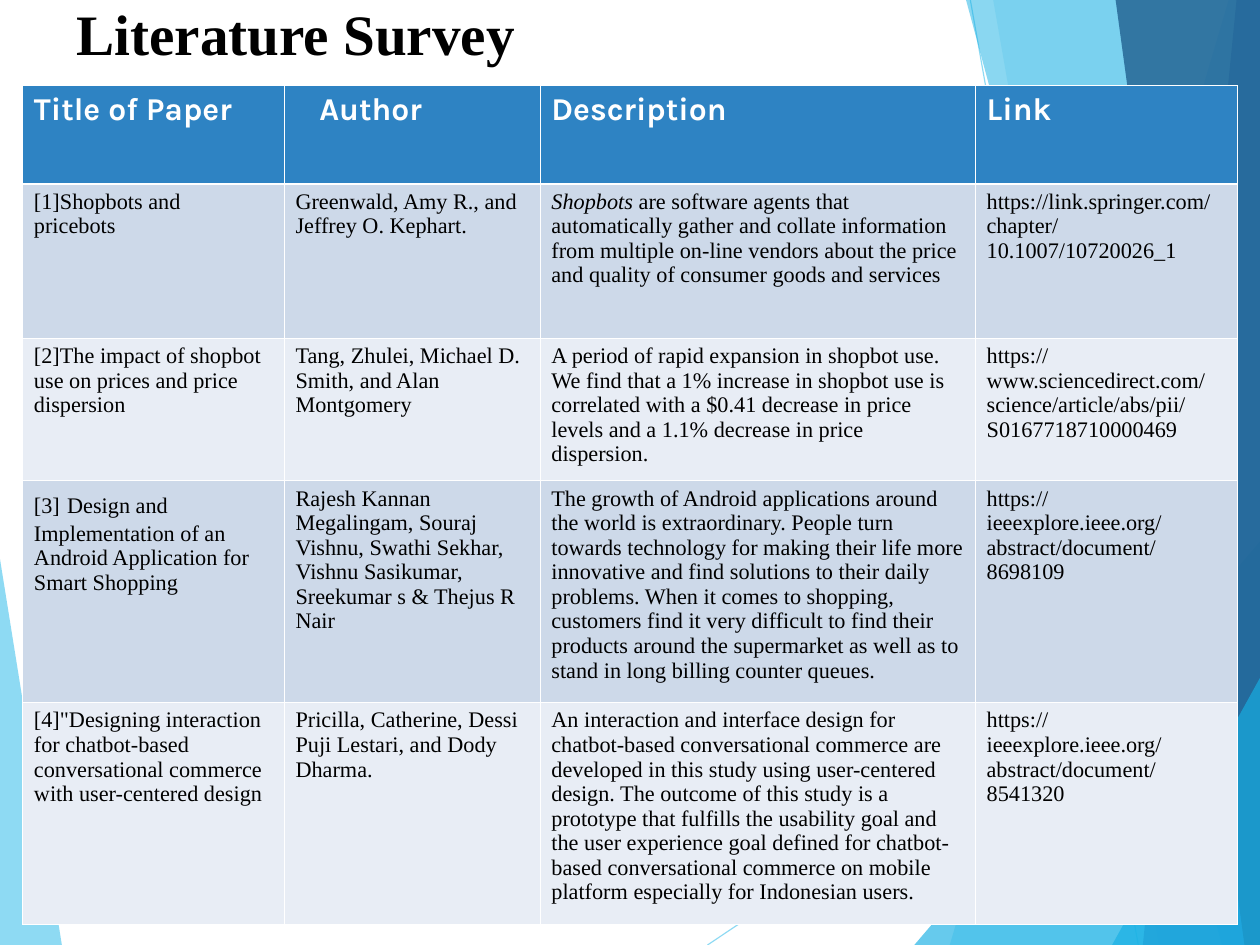
from typing import Any, NamedTuple

from lxml.etree import SubElement
from pptx import Presentation
from pptx.dml.color import RGBColor
from pptx.enum.shapes import MSO_CONNECTOR
from pptx.enum.text import MSO_ANCHOR
from pptx.oxml.ns import qn
from pptx.util import Pt

WIDE, HIGH = 793.75, 595.25
COLORS = {
    "white": "FFFFFF", "black": "000000", "sky": "5FCBEF", "cyan": "17B0E4",
    "blue": "2E83C3", "navy": "236292", "odd": "CDD9E9", "even": "E8EDF5",
}
HEAD = {"name": "Karla", "size": Pt(20), "bold": True}
BODY = {"name": "Times New Roman", "size": Pt(14), "bold": False}
TITLE = {"name": "Times New Roman", "size": Pt(36), "bold": True}
INSET = {"margin_left": Pt(7.2), "margin_top": Pt(3.6),
         "margin_right": Pt(6.8), "margin_bottom": Pt(1.7)}


class Facet(NamedTuple):
    """A flat translucent polygon of the backdrop."""
    color: str
    alpha: int
    points: list[tuple[float, float]]


class Line(NamedTuple):
    """A thin slanted line of the backdrop."""
    start: tuple[float, float]
    end: tuple[float, float]


class Part(NamedTuple):
    """A stretch of text with its own format."""
    text: str
    format: dict[str, Any]


class Paper(NamedTuple):
    """One row of the survey."""
    title: list[Part]
    author: list[Part]
    detail: list[Part]
    link: list[Part]


def plain(text: str) -> list[Part]:
    """Wrap body text as a single part."""
    return [Part(text, BODY)]


LEFT = Facet("sky", 70, [(0, 352), (39, HIGH), (0, HIGH)])
LINES = [Line((445.7, HIGH), (WIDE, 362.5)), Line((611.3, 0), (717.1, HIGH))]
RIGHT = [
    Facet("sky", 36, [(774, 0), (598.3, HIGH), (WIDE, HIGH), (WIDE, 0)]),
    Facet("sky", 20, [(625.7, 0), (730.1, HIGH), (WIDE, HIGH), (WIDE, 0)]),
    Facet("cyan", 66, [(576, HIGH), (WIDE, 341), (WIDE, HIGH)]),
    Facet("cyan", 50, [(608.6, 0), (769.7, HIGH), (WIDE, HIGH), (WIDE, 0)]),
    Facet("blue", 70, [(779, 0), (720, HIGH), (WIDE, HIGH), (WIDE, 0)]),
    Facet("navy", 82, [(702.8, 0), (784, HIGH), (WIDE, HIGH), (WIDE, 0)]),
    Facet("cyan", 66, [(700.6, HIGH), (WIDE, 427), (WIDE, HIGH)]),
]

COLS = [164.8, 161.2, 274.2, 165]
ROWS = [61.8, 97.2, 89.8, 139.7, 139.4]
HEADS = Paper(*([Part(text, HEAD)] for text in
                ("Title of Paper", "Author", "Description", "Link")))
PAPERS = [
    Paper(
        plain("[1]Shopbots and pricebots"),
        plain("Greenwald, Amy R., and Jeffrey O. Kephart."),
        [Part("Shopbots", BODY | {"italic": True}),
         Part(" are software agents that automatically gather and collate "
              "information from multiple on-line vendors about the price and "
              "quality of consumer goods and services", BODY)],
        plain("https://link.springer.com/chapter/10.1007/10720026_1"),
    ),
    Paper(
        plain("[2]The impact of shopbot use on prices and price dispersion"),
        plain("Tang, Zhulei, Michael D. Smith, and Alan Montgomery"),
        plain("A period of rapid expansion in shopbot use. We find that a 1% "
              "increase in shopbot use is correlated with a $0.41 decrease in "
              "price levels and a 1.1% decrease in price dispersion."),
        plain("https://www.sciencedirect.com/science/article/abs/pii/S0167718710000469"),
    ),
    Paper(
        [Part("[3]", BODY), Part(" ", BODY | {"name": "Karla", "size": Pt(19)}),
         Part("Design and Implementation of an Android Application for Smart "
              "Shopping", BODY)],
        plain("Rajesh Kannan Megalingam, Souraj Vishnu, Swathi Sekhar, Vishnu "
              "Sasikumar, Sreekumar s & Thejus R Nair"),
        plain("The growth of Android applications around the world is "
              "extraordinary. People turn towards technology for making their "
              "life more innovative and find solutions to their daily problems. "
              "When it comes to shopping, customers find it very difficult to "
              "find their products around the supermarket as well as to stand "
              "in long billing counter queues."),
        plain("https://ieeexplore.ieee.org/abstract/document/8698109"),
    ),
    Paper(
        plain('[4]"Designing interaction for chatbot-based conversational '
              "commerce with user-centered design"),
        plain("Pricilla, Catherine, Dessi Puji Lestari, and Dody Dharma."),
        plain("An interaction and interface design for chatbot-based "
              "conversational commerce are developed in this study using "
              "user-centered design. The outcome of this study is a prototype "
              "that fulfills the usability goal and the user experience goal "
              "defined for chatbot-based conversational commerce on mobile "
              "platform especially for Indonesian users."),
        plain("https://ieeexplore.ieee.org/abstract/document/8541320"),
    ),
]


def apply(target: Any, format: dict[str, Any]) -> None:
    """Set each named attribute of the target."""
    for name, value in format.items():
        setattr(target, name, value)


def shade(fill: Any, color: str) -> None:
    """Give a fill one solid color."""
    fill.solid()
    fill.fore_color.rgb = RGBColor.from_string(COLORS[color])


def fade(shape: Any, alpha: int) -> None:
    """Make the first color of a shape translucent."""
    tint = next(shape._element.spPr.iter(qn("a:srgbClr")))
    SubElement(tint, qn("a:alpha"), val=str(alpha * 1000))


def write(para: Any, parts: list[Part], color: str) -> None:
    """Write the parts as runs of a paragraph."""
    for part in parts:
        run = para.add_run()
        run.text = part.text
        apply(run.font, part.format)
        run.font.color.rgb = RGBColor.from_string(COLORS[color])


def draw_facet(shapes: Any, facet: Facet) -> None:
    """Draw one polygon of the backdrop."""
    first, *rest = [(Pt(x), Pt(y)) for x, y in facet.points]
    maker = shapes.build_freeform(*first)
    maker.add_line_segments(rest)
    shape = maker.convert_to_shape()
    shape.shadow.inherit = False
    shade(shape.fill, facet.color)
    fade(shape, facet.alpha)
    shape.line.fill.background()


def draw_line(shapes: Any, line: Line) -> None:
    """Draw one line of the backdrop."""
    ends = [Pt(value) for value in line.start + line.end]
    shape = shapes.add_connector(MSO_CONNECTOR.STRAIGHT, *ends)
    shape.line.width = Pt(0.75)
    shade(shape.line.fill, "sky")
    fade(shape, 70)
    SubElement(shape._element.spPr, qn("a:effectLst"))


def draw_title(shapes: Any) -> None:
    """Draw the slide title."""
    box = shapes.add_textbox(Pt(39.6), Pt(0.7), Pt(550), Pt(41.8))
    apply(box.text_frame, {
        "word_wrap": True, "vertical_anchor": MSO_ANCHOR.MIDDLE,
        "margin_left": Pt(8.6), "margin_top": Pt(2.2),
        "margin_right": 0, "margin_bottom": 0})
    para = box.text_frame.paragraphs[0]
    para.line_spacing = 0.93
    write(para, [Part("Literature Survey", TITLE)], "black")


def edge(cell: Any, row: int) -> None:
    """Draw white borders, thicker under the header."""
    props = cell._tc.get_or_add_tcPr()
    for side in "LRTB":
        thick = (row, side) in ((0, "B"), (1, "T"))
        line = SubElement(props, qn(f"a:ln{side}"), w=str(Pt(1.47 if thick else 0.45)))
        fill = SubElement(line, qn("a:solidFill"))
        SubElement(fill, qn("a:srgbClr"), val=COLORS["white"])


def draw_table(shapes: Any) -> None:
    """Draw the survey table."""
    frame = shapes.add_table(len(ROWS), len(COLS), Pt(14.2), Pt(53.9),
                             Pt(sum(COLS)), Pt(sum(ROWS)))
    table = frame.table
    for col, width in zip(table.columns, COLS):
        col.width = Pt(width)
    for row, (height, paper) in enumerate(zip(ROWS, [HEADS, *PAPERS])):
        table.rows[row].height = Pt(height)
        back = "blue" if row == 0 else ("even", "odd")[row % 2]
        for col, parts in enumerate(paper):
            cell = table.cell(row, col)
            apply(cell, INSET)
            edge(cell, row)
            shade(cell.fill, back)
            write(cell.text_frame.paragraphs[0], parts, "black" if row else "white")
    table.cell(0, 1).margin_left = Pt(22.2)
    table.cell(1, 0).margin_right = Pt(20)


def main() -> None:
    """Build and save the slide."""
    deck = Presentation()
    apply(deck, {"slide_width": Pt(WIDE), "slide_height": Pt(HIGH)})
    shapes = deck.slides.add_slide(deck.slide_layouts[6]).shapes
    draw_facet(shapes, LEFT)
    for line in LINES:
        draw_line(shapes, line)
    for facet in RIGHT:
        draw_facet(shapes, facet)
    draw_title(shapes)
    draw_table(shapes)
    deck.save("out.pptx")


if __name__ == "__main__":
    main()
